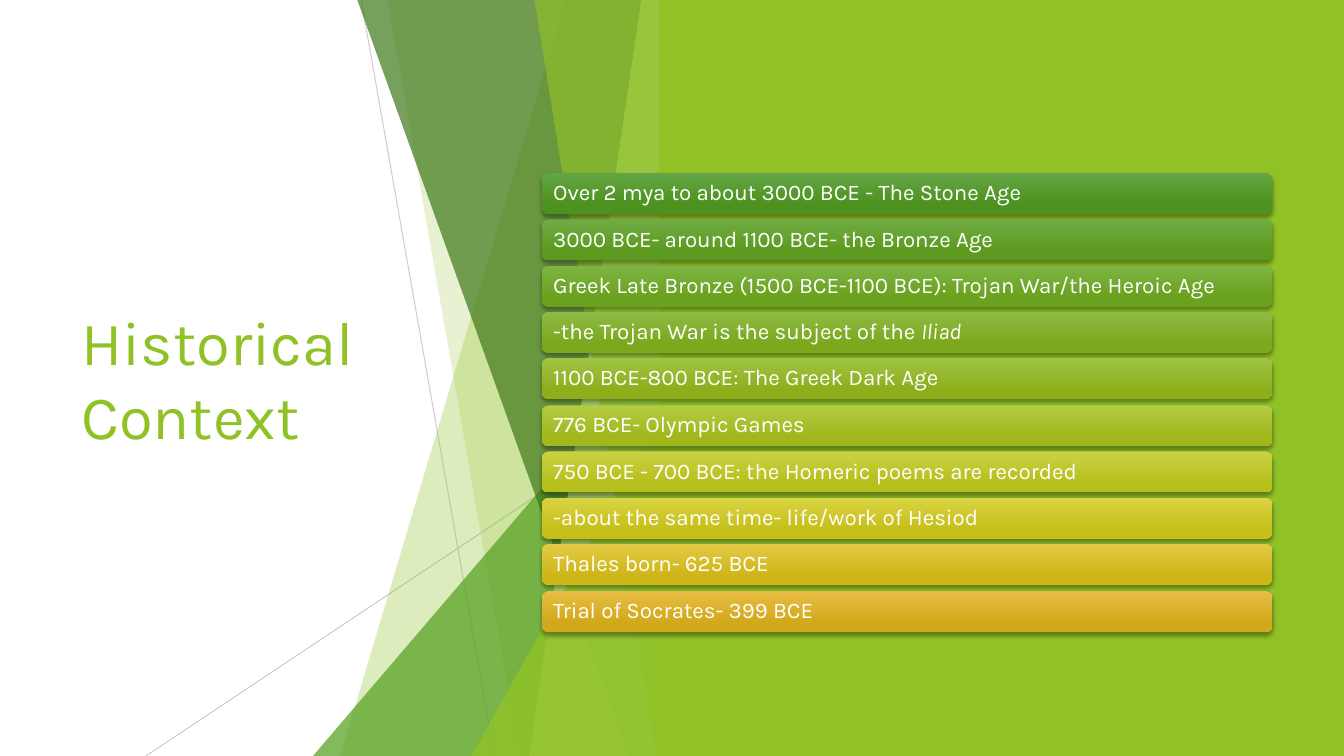
from dataclasses import dataclass

from lxml import etree
from pptx import Presentation
from pptx.dml.color import RGBColor
from pptx.enum.shapes import MSO_CONNECTOR, MSO_SHAPE
from pptx.enum.text import MSO_ANCHOR, MSO_AUTO_SIZE, PP_ALIGN
from pptx.oxml.ns import qn
from pptx.util import Pt

LEFT, MIDDLE, NO_FIT = PP_ALIGN.LEFT, MSO_ANCHOR.MIDDLE, MSO_AUTO_SIZE.NONE
RECT, ROUND = MSO_SHAPE.RECTANGLE, MSO_SHAPE.ROUNDED_RECTANGLE
TRI, STRAIGHT = MSO_SHAPE.ISOSCELES_TRIANGLE, MSO_CONNECTOR.STRAIGHT

PX = 9525
WIDTH, HEIGHT = 1280, 720
EDGE = 640  # right side shared by all facets


@dataclass(frozen=True)
class Theme:
    font: str = "Karla"
    title: int = 44
    body: int = 16
    white: str = "FFFFFF"
    lime: str = "90C226"
    green: str = "54A021"
    dark: str = "3F7819"
    pale: str = "C0E474"
    grey: str = "BFBFBF"
    black: str = "000000"


THEME = Theme()

# text runs (words, italic), gradient top, gradient foot
EVENTS = [
    ([("Over 2 mya to about 3000 BCE - The Stone Age", False)], "63A545", "4D921E"),
    ([("3000 BCE- around 1100 BCE- the Bronze Age", False)], "70AC44", "5B9A1E"),
    ([("Greek Late Bronze (1500 BCE-1100 BCE): Trojan War/the Heroic Age", False)],
     "7EB444", "6AA11E"),
    ([("-the Trojan War is the subject of the ", False), ("Iliad", True)],
     "8EBB44", "7BA81D"),
    ([("1100 BCE-800 BCE: The Greek Dark Age", False)], "A0C344", "8DAF1C"),
    ([("776 BCE- Olympic Games", False)], "B4CB44", "A1B71C"),
    ([("750 BCE - 700 BCE: the Homeric poems are recorded", False)], "CAD243", "B6BF1B"),
    ([("-about the same time- life/work of Hesiod", False)], "DAD343", "C6BF1A"),
    ([("Thales born- 625 BCE", False)], "E3CA43", "CEB619"),
    ([("Trial of Socrates- 399 BCE", False)], "E7BC43", "D2A91B"),
]
BAR_TOP, BAR_LAST = 165, 563


def rgb(code):
    return RGBColor.from_string(code)


def fade(shape, alpha):
    """Set the opacity, in percent, of every colour in the shape's own fill and line."""
    for color in shape._element.spPr.iter(qn("a:srgbClr")):
        etree.SubElement(color, qn("a:alpha"), val=str(alpha * 1000))


class Deck:
    def __init__(self, theme):
        self.theme = theme
        self.prs = Presentation()
        self.prs.slide_width, self.prs.slide_height = WIDTH * PX, HEIGHT * PX
        self.slide = self.prs.slides.add_slide(self.prs.slide_layouts[5])
        self.shapes = self.slide.shapes

    def run(self, para, words, size, color, italic=False):
        run = para.add_run()
        run.text = words
        font = run.font
        font.name, font.size, font.italic = self.theme.font, Pt(size), italic
        font.color.rgb = rgb(color)

    def title(self, words, x, y, w, h):
        box = self.shapes.title
        box.left, box.top, box.width, box.height = (n * PX for n in (x, y, w, h))
        frame = box.text_frame
        frame.word_wrap, frame.auto_size = True, NO_FIT
        frame.vertical_anchor = MIDDLE
        para = frame.paragraphs[0]
        para.alignment = LEFT
        self.run(para, words, self.theme.title, self.theme.lime)

    def line(self, x1, y1, x2, y2, alpha):
        line = self.shapes.add_connector(STRAIGHT, *(n * PX for n in (x1, y1, x2, y2)))
        line.line.color.rgb = rgb(self.theme.grey)
        line.line.width = Pt(0.75)
        etree.SubElement(line._element.spPr, qn("a:effectLst"))
        fade(line, alpha)

    def plain(self, shape, color):
        shape.fill.solid()
        shape.fill.fore_color.rgb = rgb(color)
        shape.line.fill.background()
        shape.shadow.inherit = False

    def block(self, kind, x, y, w, h, color):
        shape = self.shapes.add_shape(kind, *(n * PX for n in (x, y, w, h)))
        self.plain(shape, color)
        return shape

    def facet(self, head, foot, color, alpha):
        """Full-height panel from a slanted left side to the shared edge."""
        pen = self.shapes.build_freeform(head, -1, scale=PX)
        pen.add_line_segments([(EDGE, -1), (EDGE, HEIGHT), (foot, HEIGHT)])
        shape = pen.convert_to_shape()
        self.plain(shape, color)
        fade(shape, alpha)

    def wedge(self, x, y, color, alpha):
        """Triangle in the bottom corner at the shared edge."""
        shape = self.block(TRI, x, y, EDGE - x, HEIGHT - y, color)
        shape.adjustments[0] = 1.0
        fade(shape, alpha)

    def bar(self, y, runs, top, foot):
        shape = self.block(ROUND, 516, y, 696, 39, foot)
        shape.fill.gradient()
        shape.fill.gradient_angle = 270
        for stop, place, color in zip(shape.fill.gradient_stops, (0, 0.78), (top, foot)):
            stop.position = place
            stop.color.rgb = rgb(color)
        self.shade(shape)
        frame = shape.text_frame
        frame.word_wrap, frame.vertical_anchor = True, MIDDLE
        frame.margin_left = frame.margin_right = 9 * PX
        frame.margin_top = frame.margin_bottom = 7 * PX
        para = frame.paragraphs[0]
        para.alignment, para.line_spacing = LEFT, 0.9
        for words, italic in runs:
            self.run(para, words, self.theme.body, self.theme.white, italic)

    def shade(self, shape):
        """Soft shadow falling straight down."""
        effects = shape._element.spPr.find(qn("a:effectLst"))
        outer = etree.SubElement(effects, qn("a:outerShdw"), blurRad=str(Pt(3)),
                                 dist=str(Pt(2)), dir="5400000", rotWithShape="0")
        color = etree.SubElement(outer, qn("a:srgbClr"), val=self.theme.black)
        etree.SubElement(color, qn("a:alpha"), val="35000")


def main():
    deck = Deck(THEME)
    deck.title("Historical Context", 68, 145, 372, 430)
    deck.line(344, 0, 471, HEIGHT, 75)
    deck.line(639, 387, 139, HEIGHT, 80)
    deck.facet(539, 324, THEME.lime, 30)
    deck.facet(369, 495, THEME.lime, 20)
    deck.wedge(298, 320, THEME.green, 72)
    deck.facet(340, 599, THEME.dark, 70)
    deck.facet(611, 504, THEME.pale, 70)
    deck.facet(509, 625, THEME.lime, 65)
    deck.wedge(449, 377, THEME.lime, 80)
    deck.block(RECT, 628, 0, WIDTH - 628, HEIGHT, THEME.lime)
    for i, (runs, top, foot) in enumerate(EVENTS):
        y = BAR_TOP + i * (BAR_LAST - BAR_TOP) // (len(EVENTS) - 1)
        deck.bar(y, runs, top, foot)
    deck.prs.save("out.pptx")


if __name__ == "__main__":
    main()
